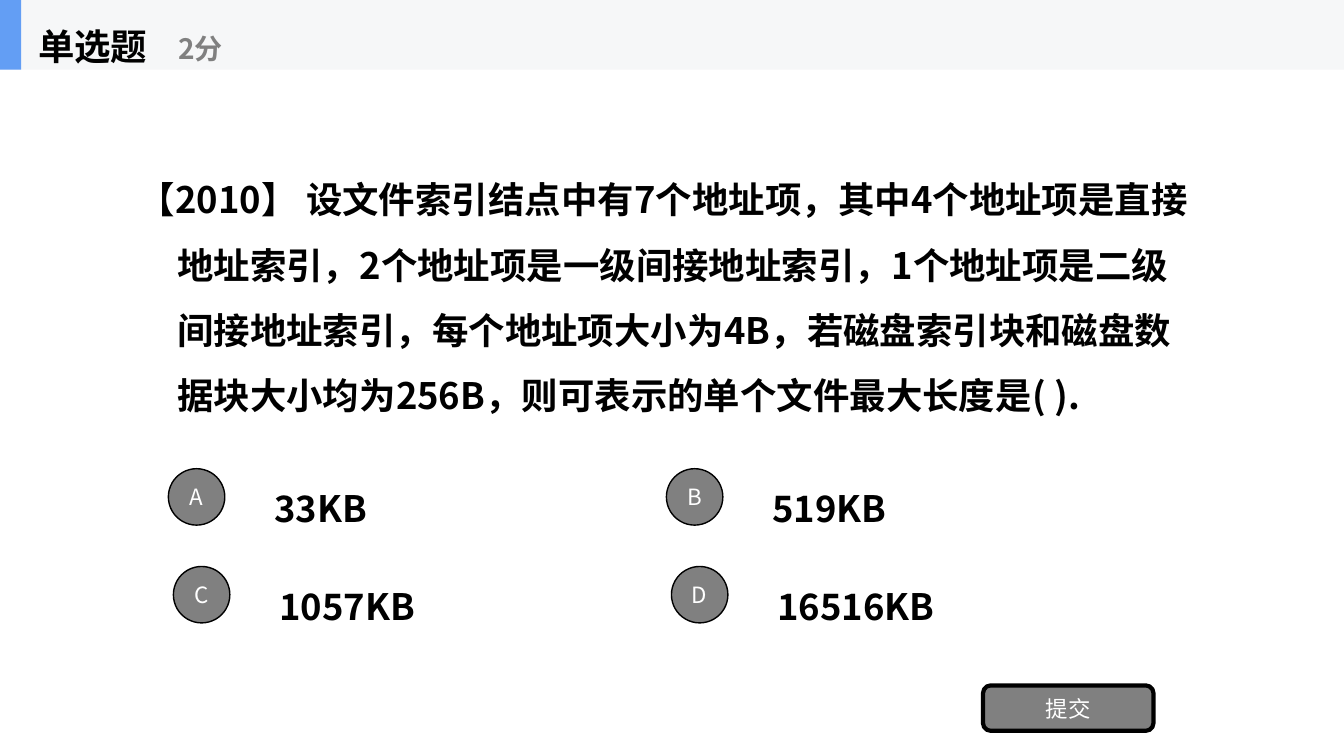
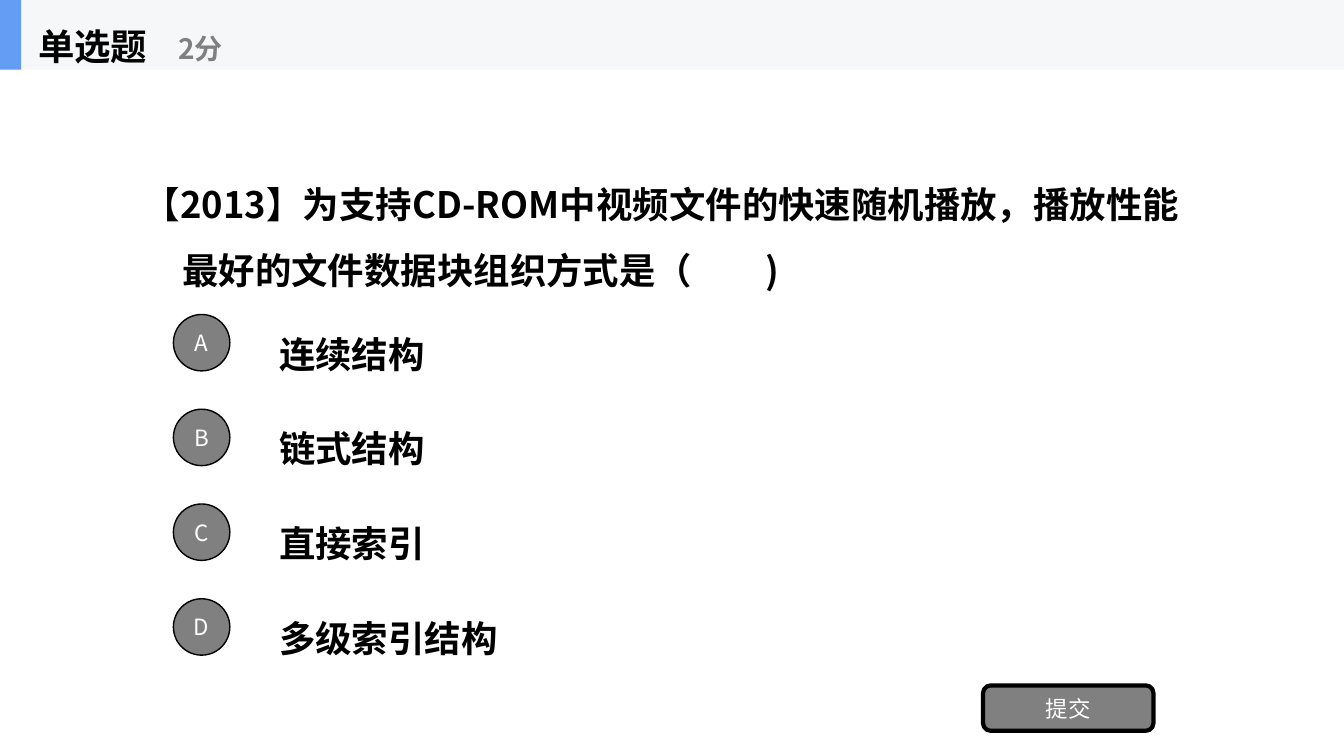
from pptx import Presentation
from pptx.dml.color import RGBColor
from pptx.enum.shapes import MSO_SHAPE as Shape
from pptx.enum.text import MSO_ANCHOR as Anchor, PP_ALIGN as Align
from pptx.oxml.ns import qn
from pptx.util import Inches, Pt
from lxml.etree import SubElement

FONT = "Noto Sans CJK SC"
BLACK = RGBColor(0x00, 0x00, 0x00)
WHITE = RGBColor(0xFF, 0xFF, 0xFF)
GRAY = RGBColor(0x80, 0x80, 0x80)
BAND = RGBColor(0xF6, 0xF7, 0xF8)
ACCENT = RGBColor(0x63, 0x9E, 0xF4)

WIDTH, HEIGHT = 13.33, 7.5
BAND_HEIGHT = 0.69
HANG = 0.38
BADGE = 0.56
BADGE_SHIFT = 0.95
OPTION_HEIGHT = 0.7
HEADING, POINTS, SUBMIT = "单选题", "2分", "提交"

QUESTIONS = [
    {
        "text": "【2010】 设文件索引结点中有7个地址项，其中4个地址项是直接地址索引，"
                "2个地址项是一级间接地址索引，1个地址项是二级间接地址索引，"
                "每个地址项大小为4B，若磁盘索引块和磁盘数据块大小均为256B，"
                "则可表示的单个文件最大长度是( ).",
        "area": (1.28, 1.5, 10.67, 2.68),
        "options": ["33KB", "519KB", "1057KB", "16516KB"],
        "columns": 2,
        "start": (2.62, 4.58),
        "step": (4.94, 0.97),
        "row_shift": 0.05,
        "option_width": 4,
    },
    {
        "text": "【2013】为支持CD-ROM中视频文件的快速随机播放，"
                "播放性能最好的文件数据块组织方式是（　　)",
        "area": (1.33, 1.6, 10.67, 1.28),
        "options": ["连续结构", "链式结构", "直接索引", "多级索引结构"],
        "columns": 1,
        "start": (2.67, 3.05),
        "step": (0, 0.94),
        "row_shift": 0,
        "option_width": 9.33,
    },
]


def add_span(para, text, size, color, bold):
    span = para.add_run()
    span.text = text
    font = span.font
    font.size, font.bold, font.name = Pt(size), bold, FONT
    font.color.rgb = color
    SubElement(span._r.get_or_add_rPr(), qn("a:ea")).set("typeface", FONT)


def add_text(shapes, area, text, size=26, color=BLACK, wrap=True):
    box = shapes.add_textbox(*map(Inches, area))
    frame = box.text_frame
    frame.word_wrap = wrap
    frame.vertical_anchor = Anchor.MIDDLE
    para = frame.paragraphs[0]
    para.line_spacing = 1.5
    indents = para._p.get_or_add_pPr()
    indents.set("marL", str(Inches(HANG)))
    indents.set("indent", str(-Inches(HANG)))
    add_span(para, text, size, color, True)


def add_block(shapes, kind, area, fill, line=0, label=None):
    block = shapes.add_shape(kind, *map(Inches, area))
    block.shadow.inherit = False
    block.fill.solid()
    block.fill.fore_color.rgb = fill
    if line:
        block.line.color.rgb = BLACK
        block.line.width = Pt(line)
    else:
        block.line.fill.background()
    if label:
        frame = block.text_frame
        frame.margin_left = frame.margin_right = 0
        frame.margin_top = frame.margin_bottom = 0
        frame.vertical_anchor = Anchor.MIDDLE
        para = frame.paragraphs[0]
        para.alignment = Align.CENTER
        add_span(para, label, 16, WHITE, False)


def add_header(page):
    shapes = page.shapes.add_group_shape().shapes
    add_block(shapes, Shape.RECTANGLE, (0, 0, WIDTH, BAND_HEIGHT), BAND)
    add_block(shapes, Shape.RECTANGLE, (0, 0, 0.21, BAND_HEIGHT), ACCENT)
    add_text(shapes, (0.28, 0, 2.08, BAND_HEIGHT), HEADING, wrap=False)
    add_text(shapes, (1.67, 0.12, 2.5, 0.56), POINTS, 20, GRAY, wrap=False)


def add_options(page, question):
    left, top = question["start"]
    step_x, step_y = question["step"]
    badge_drop = (OPTION_HEIGHT - BADGE) / 2
    for index, (letter, option) in enumerate(zip("ABCD", question["options"])):
        row, column = divmod(index, question["columns"])
        x = left + column * step_x + row * question["row_shift"]
        y = top + row * step_y
        add_text(page.shapes, (x, y, question["option_width"], OPTION_HEIGHT), option)
        add_block(page.shapes, Shape.OVAL,
                  (x - BADGE_SHIFT, y + badge_drop, BADGE, BADGE), GRAY, 1, letter)


def add_question(deck, question):
    page = deck.slides.add_slide(deck.slide_layouts[6])
    add_text(page.shapes, question["area"], question["text"])
    add_options(page, question)
    add_block(page.shapes, Shape.ROUNDED_RECTANGLE,
              (9.75, 6.8, 1.69, 0.45), GRAY, 3, SUBMIT)
    add_header(page)


def main():
    deck = Presentation()
    deck.slide_width, deck.slide_height = Inches(WIDTH), Inches(HEIGHT)
    for question in QUESTIONS:
        add_question(deck, question)
    deck.save("out.pptx")


if __name__ == "__main__":
    main()
